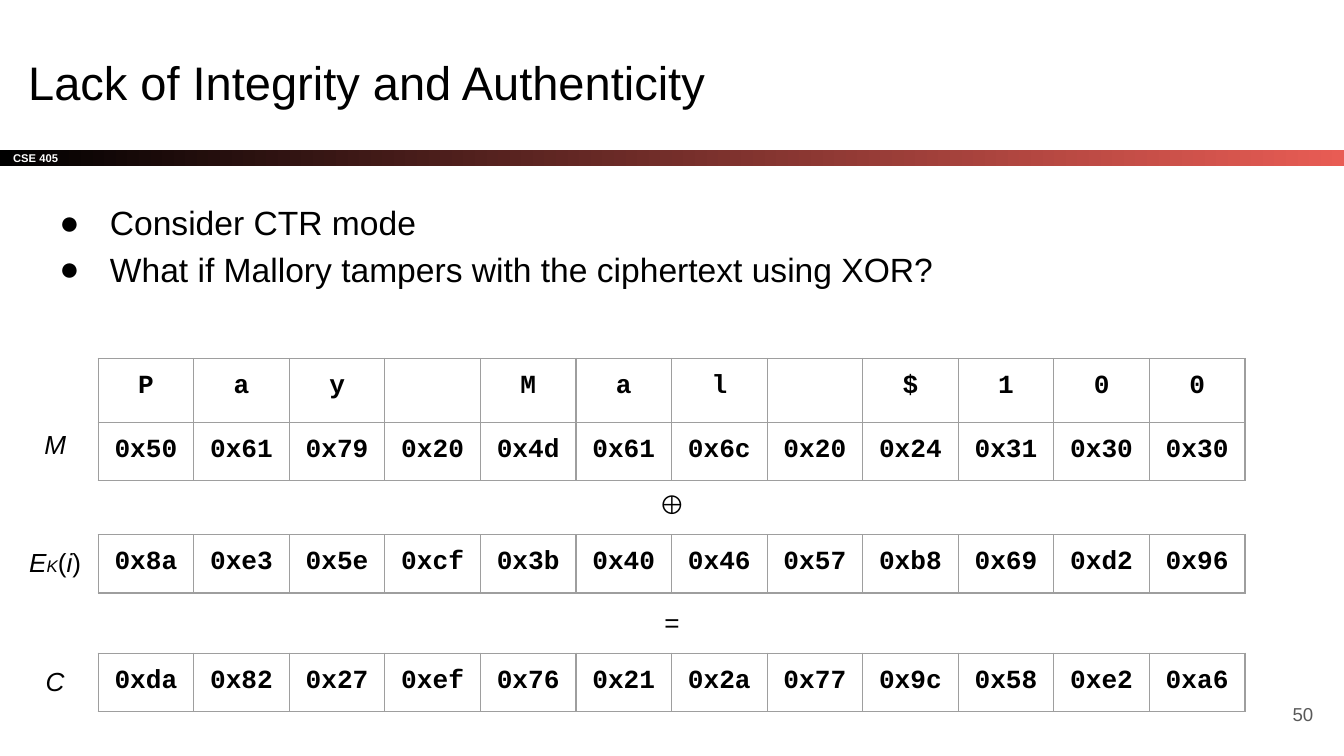
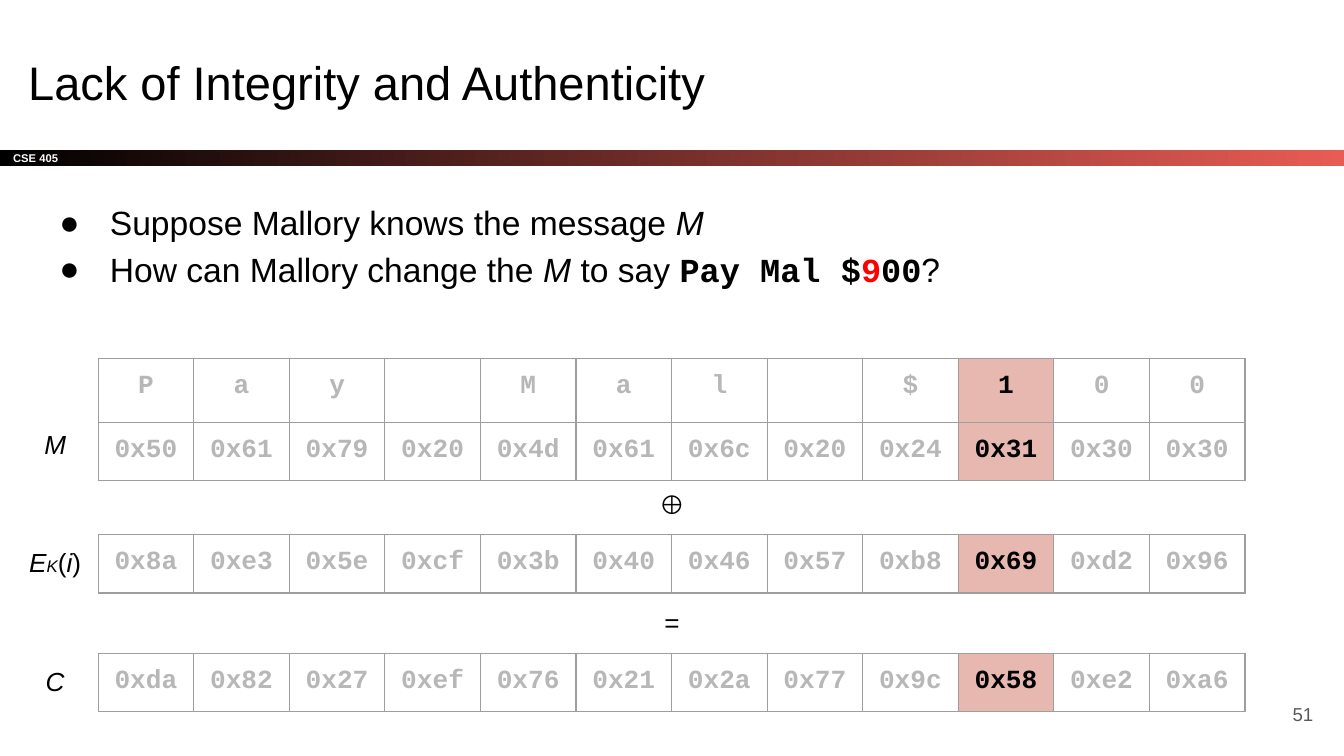
import lxml.etree
import pptx
import pptx.dml.color
import pptx.enum.shapes
import pptx.enum.text
import pptx.oxml.ns
import pptx.util

Pt = pptx.util.Pt
RGBColor = pptx.dml.color.RGBColor
ALIGN = pptx.enum.text.PP_ALIGN
ANCHOR = pptx.enum.text.MSO_ANCHOR
qn = pptx.oxml.ns.qn

BLACK = RGBColor(0x00, 0x00, 0x00)
WHITE = RGBColor(0xFF, 0xFF, 0xFF)
CORAL = RGBColor(0xE8, 0x5C, 0x54)
RED = RGBColor(0xFF, 0x00, 0x00)
PAGE_GREY = RGBColor(0x59, 0x59, 0x59)
FADED_GREY = RGBColor(0xB7, 0xB7, 0xB7)
BORDER_GREY = RGBColor(0x9E, 0x9E, 0x9E)
HIGHLIGHT = RGBColor(0xE6, 0xB8, 0xAF)
SANS = "Arial"
MONO = "Courier New"
INSET = 7.2

COLUMN_WIDTH = 51.2
ROW_HEIGHT = 31.1
LETTER_ROW_HEIGHT = 34.3
TABLE_LEFT = 52.6
TAMPERED_COLUMN = 9

MESSAGE = "Pay Mal $100"
MESSAGE_BYTES = "50 61 79 20 4d 61 6c 20 24 31 30 30"
KEYSTREAM_BYTES = "8a e3 5e cf 3b 40 46 57 b8 69 d2 96"
CIPHERTEXT_BYTES = "da 82 27 ef 76 21 2a 77 9c 58 e2 a6"

message_row, keystream_row, ciphertext_row = [
    ["0x" + byte for byte in values.split()]
    for values in (MESSAGE_BYTES, KEYSTREAM_BYTES, CIPHERTEXT_BYTES)
]
TABLES = [
    (192, [list(MESSAGE), message_row]),
    (286.4, [keystream_row]),
    (350, [ciphertext_row]),
]
ITALIC = {"italic": True}
KEYSTREAM_LABEL = [("E", ITALIC), ("K", {"italic": True, "size": 9}), ("(", {}), ("i", ITALIC), (")", {})]
SYMBOLS = [
    (338.4, 254.2, "⊕"),
    (338.4, 317.5, "="),
    (8, 222.5, [("M", ITALIC)]),
    (8, 285.8, KEYSTREAM_LABEL),
    (8, 349.2, [("C", ITALIC)]),
]
CODE = {"font": MONO, "bold": True}
SLIDES = [
    {
        "number": 50,
        "bullets": ["Consider CTR mode", "What if Mallory tampers with the ciphertext using XOR?"],
        "highlighted": False,
    },
    {
        "number": 51,
        "bullets": [
            [("Suppose Mallory knows the message ", {}), ("M", ITALIC)],
            [
                ("How can Mallory change the ", {}),
                ("M", ITALIC),
                (" to say ", {}),
                ("Pay Mal $", CODE),
                ("9", {**CODE, "color": RED}),
                ("00", CODE),
                ("?", {}),
            ],
        ],
        "highlighted": True,
    },
]


def write(paragraph, text, align=ALIGN.LEFT, **base):
    paragraph.alignment = align
    runs = [(text, {})] if isinstance(text, str) else text
    for words, changes in runs:
        style = {"size": 14, "font": SANS, "color": BLACK, "bold": False, "italic": False, **base, **changes}
        run = paragraph.add_run()
        run.text = words
        run.font.size = Pt(style["size"])
        run.font.name = style["font"]
        run.font.color.rgb = style["color"]
        run.font.bold = style["bold"]
        run.font.italic = style["italic"]


def add_text_frame(slide, left, top, width, height, anchor=ANCHOR.TOP):
    text_frame = slide.shapes.add_textbox(Pt(left), Pt(top), Pt(width), Pt(height)).text_frame
    text_frame.word_wrap = True
    text_frame.vertical_anchor = anchor
    text_frame.margin_left = text_frame.margin_right = Pt(INSET)
    text_frame.margin_top = text_frame.margin_bottom = Pt(INSET)
    return text_frame


presentation = pptx.Presentation()
presentation.slide_width = Pt(720)
presentation.slide_height = Pt(405)

for content in SLIDES:
    slide = presentation.slides.add_slide(presentation.slide_layouts[6])

    band = slide.shapes.add_shape(pptx.enum.shapes.MSO_SHAPE.RECTANGLE, Pt(0), Pt(80.2), Pt(720), Pt(8.6))
    band.shadow.inherit = False
    band.line.fill.background()
    band.fill.gradient()
    band.fill.gradient_angle = 0
    for stop, color, position in zip(band.fill.gradient_stops, (BLACK, CORAL), (0, 1)):
        stop.color.rgb = color
        stop.position = position
    band.text_frame.vertical_anchor = ANCHOR.MIDDLE
    band.text_frame.margin_top = band.text_frame.margin_bottom = Pt(INSET)
    write(band.text_frame.paragraphs[0], "CSE 405", size=6, color=WHITE, bold=True)

    title = add_text_frame(slide, 8, 21.6, 671, 45.4)
    write(title.paragraphs[0], "Lack of Integrity and Authenticity", size=25.2)

    body = add_text_frame(slide, 15.8, 98, 671, 131.8)
    for index, bullet in enumerate(content["bullets"]):
        paragraph = body.add_paragraph() if index else body.paragraphs[0]
        write(paragraph, bullet, size=18)
        paragraph.line_spacing = 1.15
        properties = paragraph._p.get_or_add_pPr()
        properties.set("marL", str(Pt(36)))
        properties.set("indent", str(-Pt(27)))
        bullet_color = lxml.etree.SubElement(properties, qn("a:buClr"))
        lxml.etree.SubElement(bullet_color, qn("a:srgbClr"), val=str(BLACK))
        lxml.etree.SubElement(properties, qn("a:buFont"), typeface=SANS)
        lxml.etree.SubElement(properties, qn("a:buChar"), char="●")

    page_number = add_text_frame(slide, 667.4, 367.2, 43.2, 31, ANCHOR.MIDDLE)
    write(page_number.paragraphs[0], str(content["number"]), ALIGN.RIGHT, size=10, color=PAGE_GREY)

    for top, rows in TABLES:
        heights = [LETTER_ROW_HEIGHT, ROW_HEIGHT][-len(rows):]
        column_count = len(MESSAGE)
        table = slide.shapes.add_table(
            len(rows), column_count, Pt(TABLE_LEFT), Pt(top), Pt(COLUMN_WIDTH * column_count), Pt(sum(heights))
        ).table
        table.first_row = False
        table.horz_banding = False
        for column in table.columns:
            column.width = Pt(COLUMN_WIDTH)
        for row_index, values in enumerate(rows):
            table.rows[row_index].height = Pt(heights[row_index])
            for column_index, value in enumerate(values):
                cell = table.cell(row_index, column_index)
                properties = cell._tc.get_or_add_tcPr()
                for side in ("L", "R", "T", "B"):
                    border = lxml.etree.SubElement(properties, qn("a:ln" + side), w=str(Pt(0.75)))
                    border_fill = lxml.etree.SubElement(border, qn("a:solidFill"))
                    lxml.etree.SubElement(border_fill, qn("a:srgbClr"), val=str(BORDER_GREY))
                tampered = content["highlighted"] and column_index == TAMPERED_COLUMN
                if tampered:
                    cell.fill.solid()
                    cell.fill.fore_color.rgb = HIGHLIGHT
                else:
                    cell.fill.background()
                if value.strip():
                    cell.margin_left = cell.margin_right = Pt(INSET)
                    cell.margin_top = cell.margin_bottom = Pt(INSET)
                    color = FADED_GREY if content["highlighted"] and not tampered else BLACK
                    write(cell.text_frame.paragraphs[0], value, ALIGN.CENTER, color=color, **CODE)

    for left, top, symbol in SYMBOLS:
        text_frame = add_text_frame(slide, left, top, 43.2, 31.7)
        write(text_frame.paragraphs[0], symbol, ALIGN.CENTER)

presentation.save("out.pptx")
